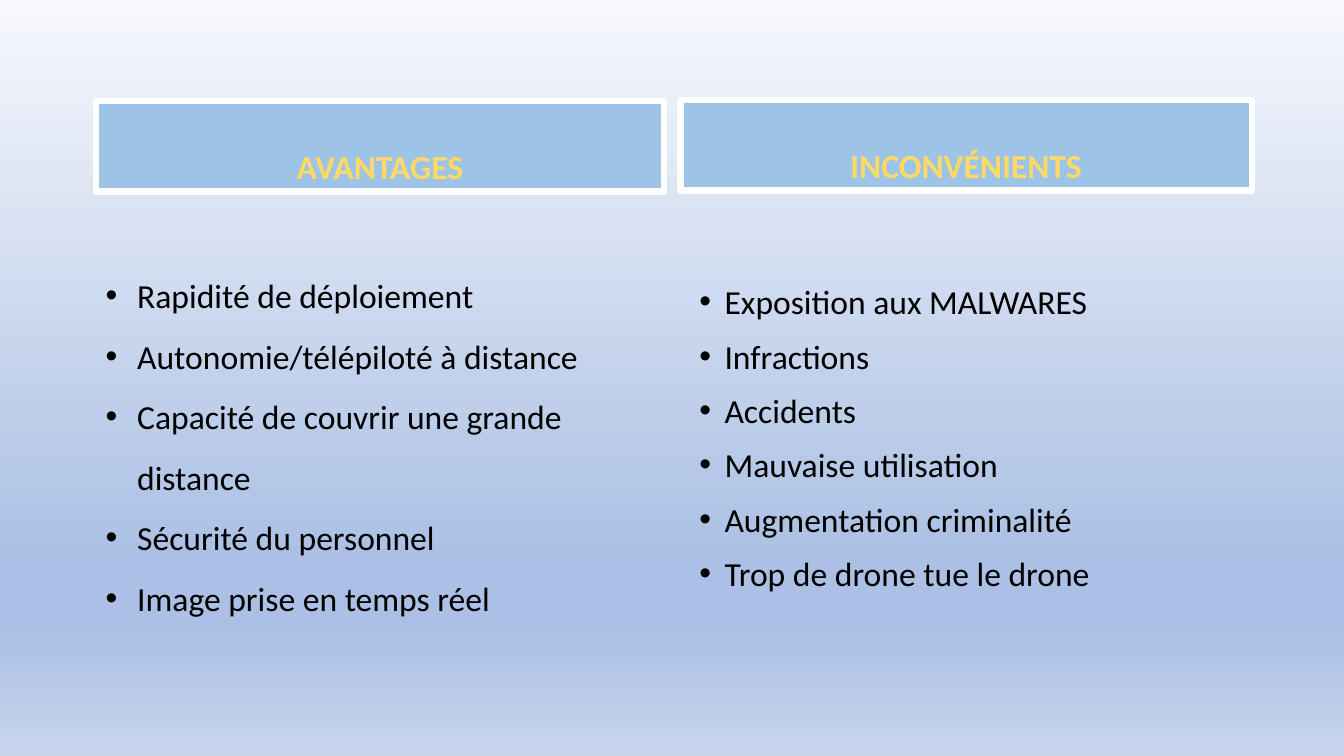
from copy import deepcopy

from pptx import Presentation
from pptx.dml.color import RGBColor
from pptx.enum.shapes import MSO_SHAPE as Preset
from pptx.enum.text import MSO_ANCHOR as Anchor, PP_ALIGN as Align
from pptx.oxml.ns import qn
from pptx.util import Pt

BLACK = RGBColor(0x00, 0x00, 0x00)
WHITE = RGBColor(0xFF, 0xFF, 0xFF)
GOLD = RGBColor(0xFF, 0xD9, 0x66)
SKY = RGBColor(0x9D, 0xC3, 0xE6)
MIST = RGBColor(0xF6, 0xF8, 0xFC)
PERIWINKLE = RGBColor(0xAB, 0xC0, 0xE4)
HAZE = RGBColor(0xC7, 0xD5, 0xED)

BACKDROP = [(0, MIST), (0.74, PERIWINKLE), (0.83, PERIWINKLE), (1, HAZE)]

COLUMNS = [
    {
        "heading": "AVANTAGES",
        "heading_box": (68.4, 72, 406.1, 64.8),
        "points": [
            "Rapidité de déploiement",
            "Autonomie/télépiloté à distance",
            "Capacité de couvrir une grande distance",
            "Sécurité du personnel",
            "Image prise en temps réel",
        ],
        "points_box": (68.4, 178.6, 406.1, 264.2),
        "spacing": {"indent": 22.5, "line": 1.5},
    },
    {
        "heading": "INCONVÉNIENTS",
        "heading_box": (486, 71.3, 408.2, 64.8),
        "points": [
            "Exposition aux MALWARES",
            "Infractions",
            "Accidents",
            "Mauvaise utilisation",
            "Augmentation criminalité",
            "Trop de drone tue le drone",
        ],
        "points_box": (492.5, 197.3, 408.2, 290.2),
        "spacing": {"indent": 18, "before": 10},
    },
]


def write(frame, lines, color=BLACK, bold=False, align=Align.LEFT,
          anchor=Anchor.TOP, line=1.0, before=0, indent=0):
    frame.word_wrap = True
    frame.vertical_anchor = anchor
    for i, words in enumerate(lines):
        para = frame.add_paragraph() if i else frame.paragraphs[0]
        para.alignment = align
        para.line_spacing = line
        para.space_before = Pt(before)
        run = para.add_run()
        run.text = words
        run.font.name = "Calibri"
        run.font.size = Pt(24)
        run.font.bold = bold
        run.font.color.rgb = color
        if indent:
            props = para._p.get_or_add_pPr()
            props.set("marL", str(Pt(indent)))
            props.set("indent", str(-Pt(indent)))
            font = props.makeelement(qn("a:buFont"), {"typeface": "Arial"})
            bullet = props.makeelement(qn("a:buChar"), {"char": "•"})
            props.extend([font, bullet])


def paint_backdrop(slide):
    fill = slide.background.fill
    fill.gradient()
    fill.gradient_angle = 270
    stops = slide._element.find(".//" + qn("a:gsLst"))
    while len(stops) < len(BACKDROP):
        stops.append(deepcopy(stops[-1]))
    for stop, (position, color) in zip(fill.gradient_stops, BACKDROP):
        stop.position = position
        stop.color.rgb = color


def add_column(slide, column):
    banner = slide.shapes.add_shape(Preset.RECTANGLE, *map(Pt, column["heading_box"]))
    banner.shadow.inherit = False
    banner.fill.solid()
    banner.fill.fore_color.rgb = SKY
    banner.line.color.rgb = WHITE
    banner.line.width = Pt(4.5)
    write(banner.text_frame, [column["heading"]], color=GOLD, bold=True,
          align=Align.CENTER, anchor=Anchor.BOTTOM, line=0.9, before=10)
    points = slide.shapes.add_textbox(*map(Pt, column["points_box"]))
    write(points.text_frame, column["points"], **column["spacing"])


def main():
    deck = Presentation()
    deck.slide_width, deck.slide_height = Pt(960), Pt(540)
    slide = deck.slides.add_slide(deck.slide_layouts[6])
    paint_backdrop(slide)
    for column in COLUMNS:
        add_column(slide, column)
    deck.save("out.pptx")


if __name__ == "__main__":
    main()
